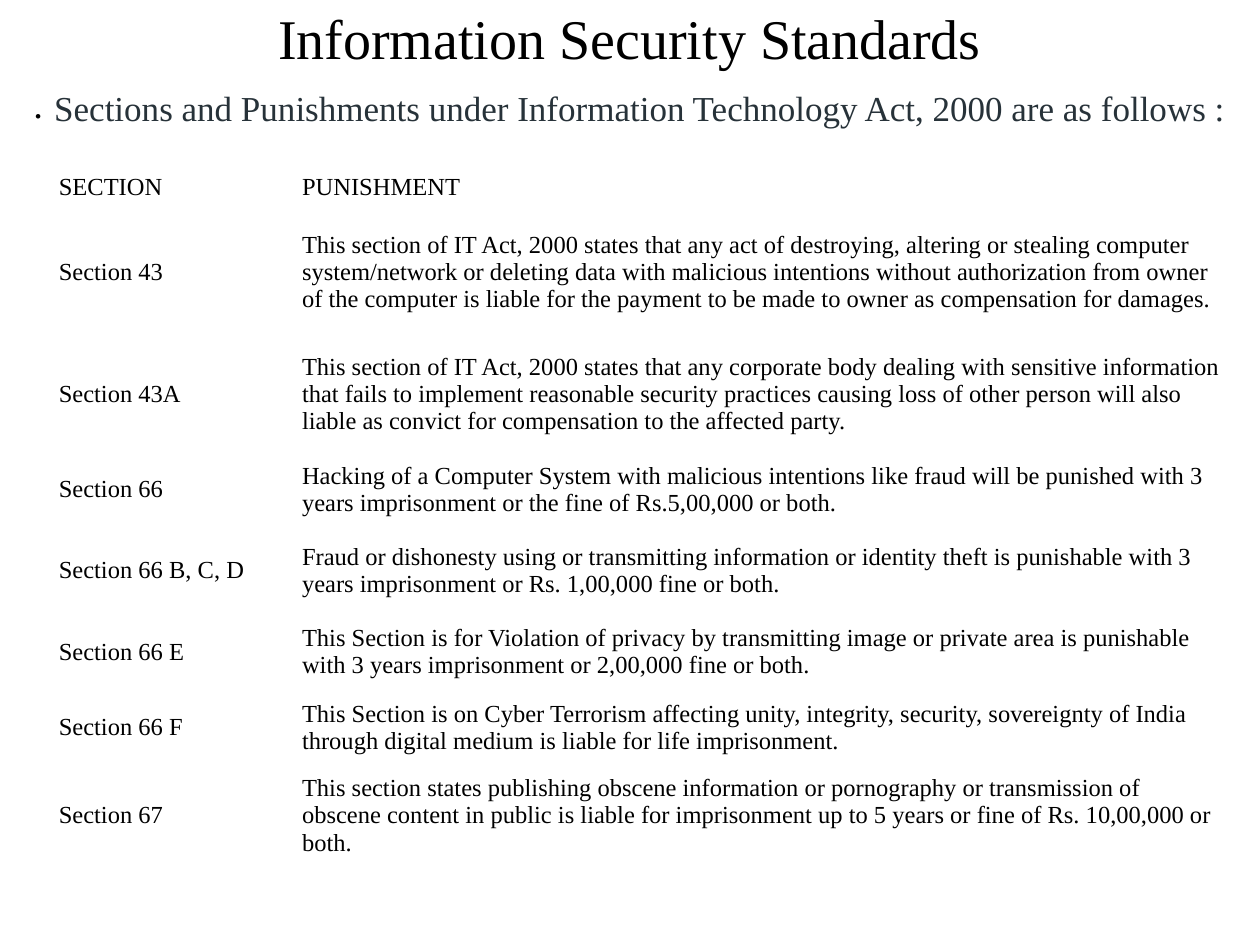
from dataclasses import dataclass

import pptx
import pptx.dml.color
import pptx.enum.shapes
import pptx.enum.text
import pptx.util

Pt = pptx.util.Pt
RGB = pptx.dml.color.RGBColor
ALIGN = pptx.enum.text.PP_ALIGN
ANCHOR = pptx.enum.text.MSO_ANCHOR


@dataclass(frozen=True)
class Theme:
    font: str = "Times New Roman"
    ink: str = "000000"
    slate: str = "273239"
    paper: str = "FFFFFF"
    title_size: float = 32
    bullet_size: float = 22
    lead_size: float = 20
    table_size: float = 14


@dataclass(frozen=True)
class Row:
    section: str
    punishment: str
    height: float


THEME = Theme()
COLUMN_WIDTHS = (139, 535)
CELL_MARGIN = 3.6

ROWS = [
    Row("SECTION", "PUNISHMENT", 20),
    Row("Section 43",
        "This section of IT Act, 2000 states that any act of destroying, altering or "
        "stealing computer system/network or deleting data with malicious intentions "
        "without authorization from owner of the computer is liable for the payment to "
        "be made to owner as compensation for damages.", 73.5),
    Row("Section 43A",
        "This section of IT Act, 2000 states that any corporate body dealing with "
        "sensitive information that fails to implement reasonable security practices "
        "causing loss of other person will also liable as convict for compensation to "
        "the affected party.", 65.5),
    Row("Section 66",
        "Hacking of a Computer System with malicious intentions like fraud will be "
        "punished with 3 years imprisonment or the fine of Rs.5,00,000 or both.", 43.2),
    Row("Section 66 B, C, D",
        "Fraud or dishonesty using or transmitting information or identity theft is "
        "punishable with 3 years imprisonment or Rs. 1,00,000 fine or both.", 49.7),
    Row("Section 66 E",
        "This Section is for Violation of privacy by transmitting image or private area "
        "is punishable with 3 years imprisonment or 2,00,000 fine or both.", 43.2),
    Row("Section 66 F",
        "This Section is on Cyber Terrorism affecting unity, integrity, security, "
        "sovereignty of India through digital medium is liable for life imprisonment.",
        43.2),
    Row("Section 67",
        "This section states publishing obscene information or pornography or "
        "transmission of obscene content in public is liable for imprisonment up to 5 "
        "years or fine of Rs. 10,00,000 or both.", 56.9),
]


def write(tf, text: str, *, size: float, color: str = THEME.ink,
          align=ALIGN.LEFT, space_before: float = 0) -> None:
    p = tf.paragraphs[0]
    p.alignment = align
    p.space_before = Pt(space_before)
    r = p.add_run()
    r.text = text
    r.font.name = THEME.font
    r.font.size = Pt(size)
    r.font.color.rgb = RGB.from_string(color)


def set_margins(target, margin: float) -> None:
    for side in ("left", "right", "top", "bottom"):
        setattr(target, f"margin_{side}", Pt(margin))


def add_title(s, text: str) -> None:
    sp = s.shapes.title
    sp.left, sp.top, sp.width, sp.height = Pt(12), Pt(6), Pt(696), Pt(30)
    tf = sp.text_frame
    tf.auto_size = pptx.enum.text.MSO_AUTO_SIZE.NONE
    tf.vertical_anchor = ANCHOR.MIDDLE
    write(tf, text, size=THEME.title_size, align=ALIGN.CENTER)


def add_bullet(s) -> None:
    sp = s.shapes.add_textbox(Pt(12), Pt(42), Pt(696), Pt(486))
    sp.text_frame.word_wrap = True
    write(sp.text_frame, ".", size=THEME.bullet_size, space_before=5.5)


def add_sections_table(s, rows: list[Row]) -> None:
    frame = s.shapes.add_table(len(rows), len(COLUMN_WIDTHS), Pt(30), Pt(95),
                               Pt(sum(COLUMN_WIDTHS)),
                               Pt(sum(row.height for row in rows)))
    table = frame.table
    table.first_row = table.horz_banding = False
    for column, width in zip(table.columns, COLUMN_WIDTHS):
        column.width = Pt(width)
    for table_row, row in zip(table.rows, rows):
        table_row.height = Pt(row.height)
        for cell, text in zip(table_row.cells, (row.section, row.punishment)):
            cell.fill.background()
            cell.vertical_anchor = ANCHOR.MIDDLE
            set_margins(cell, CELL_MARGIN)
            write(cell.text_frame, text, size=THEME.table_size)


def add_lead(s, text: str) -> None:
    sp = s.shapes.add_shape(pptx.enum.shapes.MSO_SHAPE.RECTANGLE,
                            Pt(31), Pt(48.5), Pt(672.5), Pt(48))
    sp.shadow.inherit = False
    sp.fill.solid()
    sp.fill.fore_color.rgb = RGB.from_string(THEME.paper)
    sp.line.fill.background()
    tf = sp.text_frame
    tf.word_wrap = False
    tf.vertical_anchor = ANCHOR.TOP
    set_margins(tf, 0)
    tf.margin_top = Pt(1)
    write(tf, text, size=THEME.lead_size, color=THEME.slate)


def main() -> None:
    prs = pptx.Presentation()
    prs.slide_width, prs.slide_height = Pt(720), Pt(540)
    s = prs.slides.add_slide(prs.slide_layouts.get_by_name("Title Only"))
    add_title(s, "Information Security Standards")
    add_bullet(s)
    add_sections_table(s, ROWS)
    add_lead(s, "Sections and Punishments under Information Technology Act, 2000 "
                "are as follows :")
    prs.save("out.pptx")


if __name__ == "__main__":
    main()
